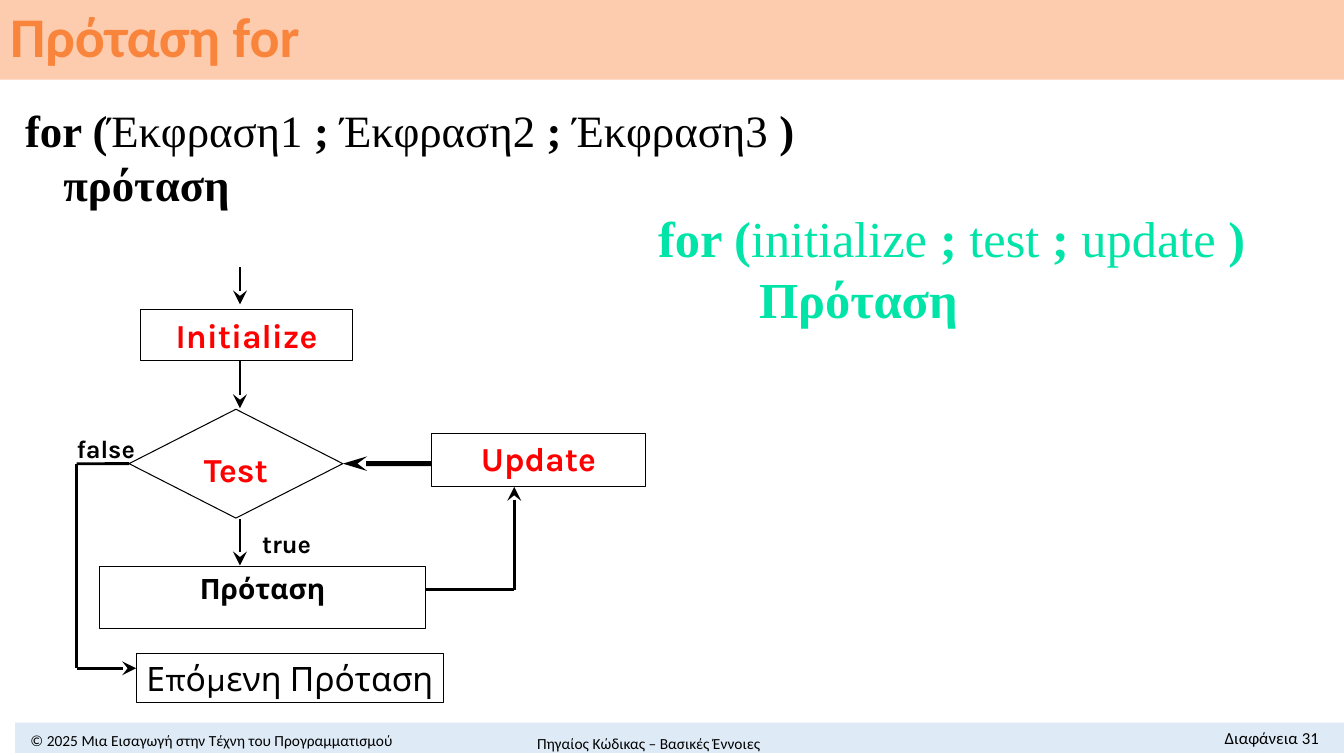
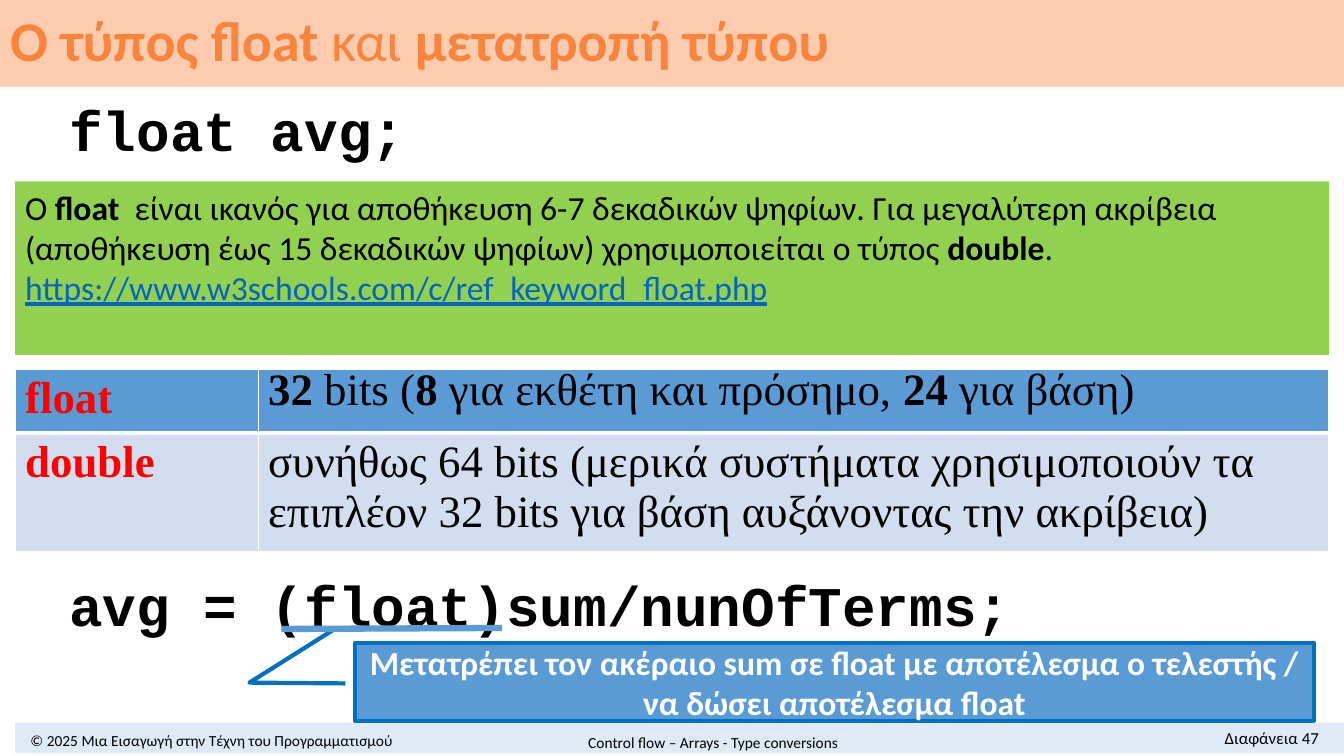
from lxml import etree
from pptx import Presentation
from pptx.dml.color import RGBColor
from pptx.enum.shapes import MSO_CONNECTOR, MSO_SHAPE
from pptx.enum.text import MSO_ANCHOR, MSO_AUTO_SIZE, PP_ALIGN
from pptx.oxml.ns import qn
from pptx.util import Inches, Pt

LEFT, CENTER, RIGHT = PP_ALIGN.LEFT, PP_ALIGN.CENTER, PP_ALIGN.RIGHT
TOP, MIDDLE = MSO_ANCHOR.TOP, MSO_ANCHOR.MIDDLE
RECT, DIAMOND = MSO_SHAPE.RECTANGLE, MSO_SHAPE.DIAMOND
CALLOUT = MSO_SHAPE.LINE_CALLOUT_2
STRAIGHT = MSO_CONNECTOR.STRAIGHT

# Shared look
SANS, SERIF, MONO, FLOW = "Calibri", "Times New Roman", "Courier New", "Karla"
BLACK, WHITE, RED = "000000", "FFFFFF", "FF0000"
TITLE_BAND, TITLE_TEXT, FOOTER_BAND = "FDCBAD", "F9853D", "DEEBF7"
BLUE, PALE_BLUE, CALLOUT_EDGE = "5B9BD5", "D2DEEF", "0070C0"
GREEN, MINT, LINK = "92D050", "00E4A8", "0563C1"
COPYRIGHT = "© 2025 Μια Εισαγωγή στην Τέχνη του Προγραμματισμού"

# Content: text between ** marks is bold
FOR_SLIDE = {
    "title": "**Πρόταση for**", "title_height": 0.79,
    "topic": "Πηγαίος Κώδικας – Βασικές Έννοιες",
    "topic_box": (4.54, 7.23, 3.79, 0.28), "number": 31,
}
FLOAT_SLIDE = {
    "title": "**O τύπος float **και **μετατροπή τύπου**", "title_height": 0.86,
    "topic": "Control flow – Arrays - Type conversions",
    "topic_box": (4.54, 7.22, 5.07, 0.28), "number": 47,
}
# Syntax: lines, box, size, colour, indent of the second line
SYNTAX = [
    (["**for (**Έκφραση1 **; **Έκφραση2** ; **Έκφραση3 **)**", "**πρόταση**"],
     (0.15, 0.97, 8.5, 1.49), 32, BLACK, 0.38),
    (["**for (**initialize **;** test **; **update **)**", "**Πρόταση**"],
     (6.43, 2.01, 6.59, 1.31), 36, MINT, 1),
]
# Flowchart steps: text, outline, box, size, colour, top inset
STEPS = {
    "initialize": ("**Initialize**", RECT, (1.39, 3.07, 2.11, 0.51), 24, RED, 0.05),
    "test": ("**Test**", DIAMOND, (1.28, 4.06, 2.12, 1.08), 24, RED, 0.12),
    "statement": ("**Πρόταση**", RECT, (0.99, 5.62, 3.23, 0.62), 20, BLACK, 0.05),
    "update": ("**Update**", RECT, (4.28, 4.3, 2.12, 0.53), 24, RED, 0.05),
    "next": ("Επόμενη Πρόταση", RECT, (1.35, 6.48, 3.05, 0.49), 24, BLACK, 0.05),
}
BRANCHES = [("**true**", (2.6, 5.24, 0.53, 0.3)), ("**false**", (0.76, 4.3, 0.6, 0.3))]
FLOW_X, TEST_Y = 2.38, 4.6
# Routes: corner points, the last one carries the arrowhead
ROUTES = [
    [(FLOW_X, 2.65), (FLOW_X, 3.02)],
    [(FLOW_X, 3.58), (FLOW_X, 4.05)],
    [(FLOW_X, 5.15), (FLOW_X, 5.61)],
    [(4.22, 5.85), (5.1, 5.85), (5.1, 4.83)],
]
FALSE_ROUTE = [(1.28, TEST_Y), (0.76, TEST_Y), (0.76, 6.63), (1.35, 6.63)]

CODE = [("**float avg;**", (0.59, 0.9, 4.4, 0.77)),
        ("**avg = (float)sum/nunOfTerms;**", (0.59, 5.61, 9.94, 0.77))]
PRECISION = [
    "Ο **float ** είναι ικανός για αποθήκευση 6-7 δεκαδικών ψηφίων. "
    "Για μεγαλύτερη ακρίβεια (αποθήκευση έως 15 δεκαδικών ψηφίων) "
    "χρησιμοποιείται ο τύπος **double**.",
    "https://www.w3schools.com/c/ref_keyword_float.php",
]
TYPES = [
    ("**float**", "**32** bits (**8 **για εκθέτη και πρόσημο, **24** για βάση)"),
    ("**double**", "συνήθως 64 bits (μερικά συστήματα χρησιμοποιούν τα "
                   "επιπλέον 32 bits για βάση αυξάνοντας την ακρίβεια)"),
]
CAST_NOTE = ("**Μετατρέπει τον ακέραιο sum σε float με αποτέλεσμα ο τελεστής / "
             "να δώσει αποτέλεσμα float**")


def rgb(hex_colour):
    return RGBColor.from_string(hex_colour)


def inches(values):
    return [Inches(v) for v in values]


def write(frame, lines, font, size, colour, align=LEFT, spacing=None):
    for i, line in enumerate(lines):
        paragraph = frame.paragraphs[0] if i == 0 else frame.add_paragraph()
        paragraph.alignment = align
        if spacing:
            paragraph.line_spacing = spacing
        for j, part in enumerate(line.split("**")):
            if part:
                run = paragraph.add_run()
                run.text = part
                run.font.name, run.font.size = font, Pt(size)
                run.font.bold = j % 2 == 1
                run.font.color.rgb = rgb(colour)


def add_text(slide, lines, box, font, size, colour=BLACK, align=LEFT,
             anchor=TOP, wrap=True, inset=None):
    frame = slide.shapes.add_textbox(*inches(box)).text_frame
    frame.word_wrap, frame.vertical_anchor = wrap, anchor
    if inset is not None:
        frame.margin_left = frame.margin_right = Inches(inset)
        frame.margin_top = frame.margin_bottom = Inches(inset)
    write(frame, lines, font, size, colour, align)
    return frame


def add_block(slide, outline, box, fill, edge=None, width=0.75):
    block = slide.shapes.add_shape(outline, *inches(box))
    block.shadow.inherit = False
    block.fill.solid()
    block.fill.fore_color.rgb = rgb(fill)
    if edge:
        block.line.color.rgb = rgb(edge)
        block.line.width = Pt(width)
    else:
        block.line.fill.background()
    block.text_frame.vertical_anchor = TOP
    return block


def add_line(slide, start, end, colour=BLACK, width=2, head=None):
    line = slide.shapes.add_connector(STRAIGHT, *inches(start + end))
    line.line.color.rgb = rgb(colour)
    line.line.width = Pt(width)
    if head:
        etree.SubElement(line.line._get_or_add_ln(), qn("a:tailEnd"),
                         type="stealth", w=head, len="lg")
    etree.SubElement(line._element.spPr, qn("a:effectLst"))
    return line


def add_route(slide, points):
    last = len(points) - 2
    return [add_line(slide, a, b, head="lg" if i == last else None)
            for i, (a, b) in enumerate(zip(points, points[1:]))]


def start_slide(prs, content):
    slide = prs.slides.add_slide(prs.slide_layouts[5])
    # Title band
    title = slide.shapes.title
    title.left, title.top, title.width, title.height = inches(
        (0, 0, 13.33, content["title_height"]))
    title.fill.solid()
    title.fill.fore_color.rgb = rgb(TITLE_BAND)
    frame = title.text_frame
    frame.word_wrap, frame.vertical_anchor = True, MIDDLE
    frame.auto_size = MSO_AUTO_SIZE.NONE
    write(frame, [content["title"]], SANS, 40, TITLE_TEXT, spacing=0.9)
    # Footer
    add_block(slide, RECT, (0.15, 7.17, 13.18, 0.3), FOOTER_BAND)
    add_text(slide, [COPYRIGHT], (0, 7.22, 4.2, 0.26), SANS, 11,
             align=CENTER, anchor=MIDDLE)
    add_text(slide, [content["topic"]], content["topic_box"], SANS, 11,
             align=CENTER, anchor=MIDDLE)
    add_text(slide, [f"Διαφάνεια {content['number']}"], (11.12, 7.17, 2.06, 0.3),
             SANS, 12, align=RIGHT)
    return slide


def build_for_slide(prs):
    slide = start_slide(prs, FOR_SLIDE)
    for lines, box, size, colour, indent in SYNTAX:
        syntax = add_text(slide, lines, box, SERIF, size, colour)
        properties = syntax.paragraphs[1]._p.get_or_add_pPr()
        properties.set("marL", str(Inches(indent)))
        properties.set("indent", "0")
    # Flowchart steps
    steps = {}
    for key, (label, outline, box, size, colour, top) in STEPS.items():
        steps[key] = add_block(slide, outline, box, WHITE, BLACK)
        frame = steps[key].text_frame
        frame.word_wrap, frame.margin_top = False, Inches(top)
        write(frame, [label], FLOW, size, colour, CENTER)
    steps["test"].text_frame.margin_bottom = 0
    # Flowchart arrows
    for route in ROUTES:
        add_route(slide, route)
    add_route(slide, FALSE_ROUTE)[0].begin_connect(steps["test"], 1)
    loop_back = add_line(slide, (4.28, TEST_Y), (3.4, TEST_Y), width=3.5, head="med")
    loop_back.end_connect(steps["test"], 3)
    for label, box in BRANCHES:
        add_text(slide, [label], box, FLOW, 18, wrap=False, inset=0)


def set_borders(cell, bottom):
    properties = cell._tc.get_or_add_tcPr()
    for side, width in (("L", 1), ("R", 1), ("T", 1), ("B", bottom)):
        border = etree.SubElement(properties, qn(f"a:ln{side}"), w=str(Pt(width)))
        fill = etree.SubElement(border, qn("a:solidFill"))
        etree.SubElement(fill, qn("a:srgbClr"), val=WHITE)


def add_types_table(slide):
    table = slide.shapes.add_table(2, 2, *inches((0.15, 3.66, 13.03, 1.8))).table
    for column, width in zip(table.columns, (2.41, 10.62)):
        column.width = Inches(width)
    for row, height in zip(table.rows, (0.62, 1.18)):
        row.height = Inches(height)
    for r, texts in enumerate(TYPES):
        for c, text in enumerate(texts):
            cell = table.cell(r, c)
            set_borders(cell, 3 if r == 0 else 1)
            cell.fill.solid()
            cell.fill.fore_color.rgb = rgb((BLUE, PALE_BLUE)[r])
            write(cell.text_frame, [text], SERIF, 32, (RED, BLACK)[c],
                  spacing=0.8 if (r, c) == (0, 1) else None)


def build_float_slide(prs):
    slide = start_slide(prs, FLOAT_SLIDE)
    # Precision note
    note = add_block(slide, RECT, (0.15, 1.8, 13.03, 1.72), GREEN).text_frame
    write(note, PRECISION, SANS, 24, BLACK)
    address = note.paragraphs[1].runs[0].font
    address.color.rgb, address.underline = rgb(LINK), True
    add_types_table(slide)
    for line, box in CODE:
        add_text(slide, [line], box, MONO, 40)
    # Cast callout and underline
    callout = add_block(slide, CALLOUT, (3.52, 6.38, 9.51, 0.77), BLUE, CALLOUT_EDGE, 3)
    for i, value in enumerate((0.52, -0.01, 0.51, -0.11, -0.19, -0.02)):
        callout.adjustments[i] = value
    callout.text_frame.vertical_anchor = MIDDLE
    write(callout.text_frame, [CAST_NOTE], SANS, 24, WHITE, CENTER)
    add_line(slide, (2.79, 6.24), (4.98, 6.23), BLUE, 4.5)


def main():
    prs = Presentation()
    prs.slide_width, prs.slide_height = Inches(13.33), Inches(7.5)
    build_for_slide(prs)
    build_float_slide(prs)
    prs.save("out.pptx")


if __name__ == "__main__":
    main()
